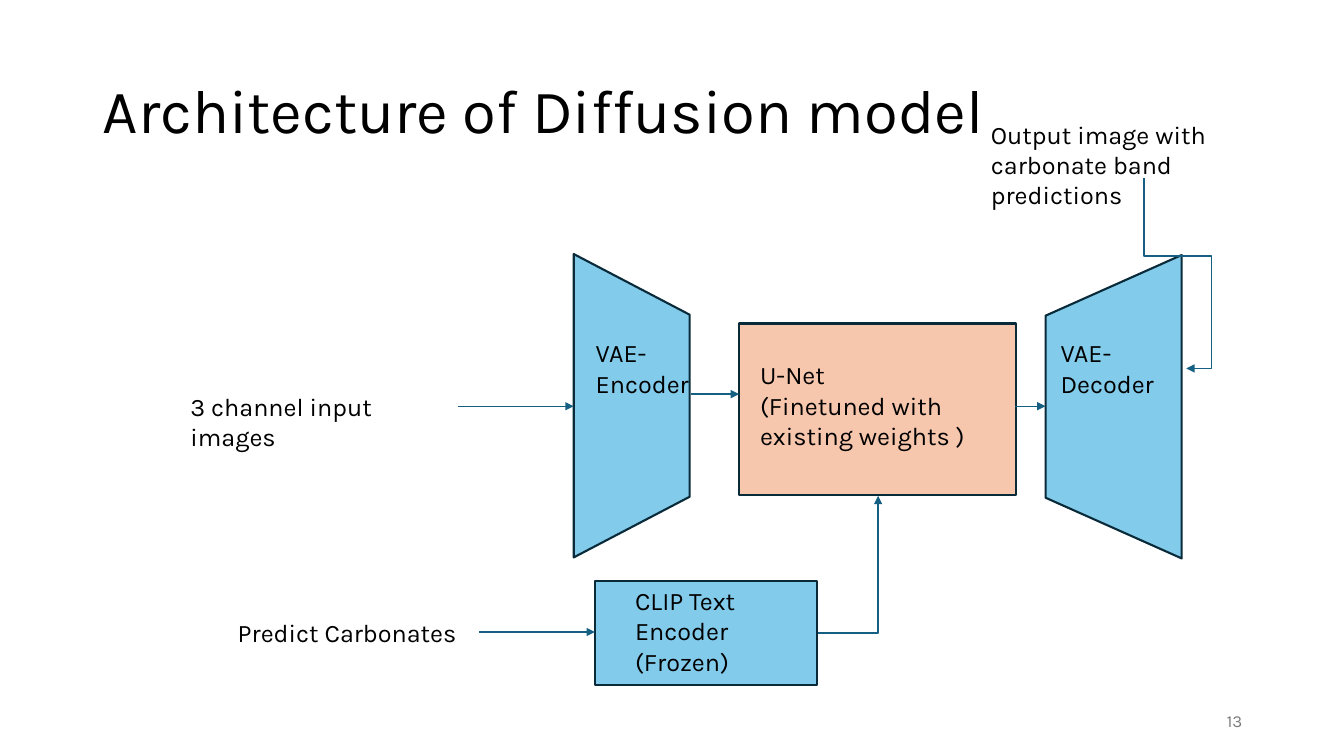
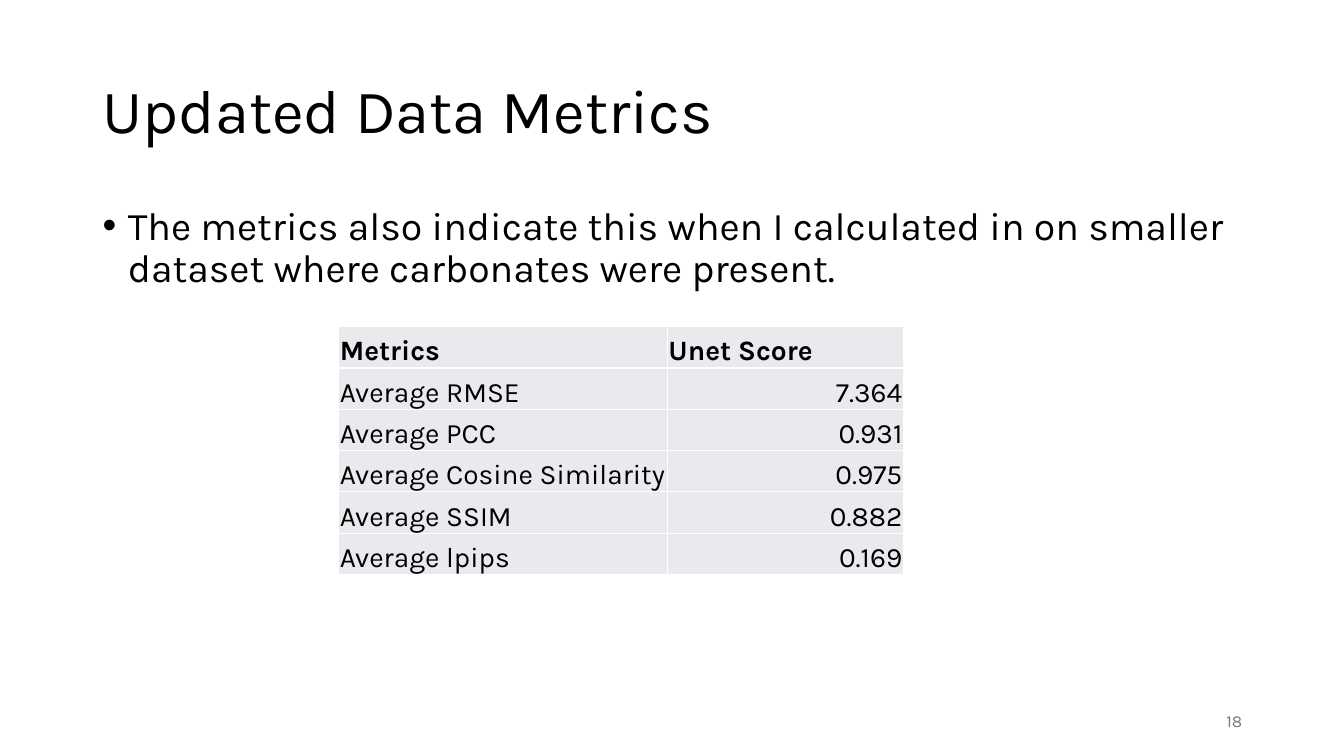
"""Build two slides on a diffusion model and its metrics."""
from lxml.etree import SubElement
from pptx import Presentation
from pptx.dml.color import RGBColor
from pptx.enum.shapes import MSO_CONNECTOR, MSO_SHAPE
from pptx.enum.text import MSO_ANCHOR, PP_ALIGN
from pptx.oxml import parse_xml
from pptx.oxml.ns import nsdecls, qn
from pptx.util import Inches, Pt

FONT = "Karla"
BLACK, GRAY, WHITE = "000000", "797979", "FFFFFF"
BLUE, PEACH, OUTLINE, ARROW = "83CBEB", "F6C6AD", "092A39", "156082"
CELL = "E8EAED"


def color(value):
    return RGBColor.from_string(value)


def write(frame, text, size=18, ink=BLACK, bold=False, align=PP_ALIGN.LEFT, spacing=None, bullet=None):
    para = frame.paragraphs[0]
    para.text = text
    para.alignment = align
    if bullet:
        props = para._p.get_or_add_pPr()
        props.set("marL", str(Inches(0.25)))
        props.set("indent", str(-Inches(0.25)))
        SubElement(props, qn("a:buFont")).set("typeface", "Arial")
        SubElement(props, qn("a:buChar")).set("char", bullet)
    if spacing:
        para.line_spacing = spacing
    for span in para.runs:
        span.font.name = FONT
        span.font.size = Pt(size)
        span.font.bold = bold
        span.font.color.rgb = color(ink)


class Deck:
    def __init__(self):
        self.deck = Presentation()
        self.deck.slide_width = Inches(13.33)
        self.deck.slide_height = Inches(7.5)
        self.page = None

    def add_page(self, title, number):
        self.page = self.deck.slides.add_slide(self.deck.slide_layouts[6])
        self.text(title, 0.92, 0.4, 11.5, 1.45, anchor=MSO_ANCHOR.MIDDLE, size=44, spacing=0.9)
        self.text(number, 9.42, 6.95, 3, 0.4, anchor=MSO_ANCHOR.MIDDLE,
                  size=12, ink=GRAY, align=PP_ALIGN.RIGHT)

    def text(self, text, left, top, width, height, anchor=MSO_ANCHOR.TOP, **style):
        box = self.page.shapes.add_textbox(*map(Inches, (left, top, width, height)))
        box.text_frame.word_wrap = True
        box.text_frame.vertical_anchor = anchor
        write(box.text_frame, text, **style)

    def block(self, kind, left, top, width, height, fill=BLUE, rotation=0):
        shape = self.page.shapes.add_shape(kind, *map(Inches, (left, top, width, height)))
        shape.shadow.inherit = False
        shape.rotation = rotation
        shape.fill.solid()
        shape.fill.fore_color.rgb = color(fill)
        shape.line.color.rgb = color(OUTLINE)
        shape.line.width = Pt(1.5)

    def arrow(self, start, end, bend=None, adjust=(), rotation=0):
        kind = MSO_CONNECTOR.ELBOW if bend else MSO_CONNECTOR.STRAIGHT
        line = self.page.shapes.add_connector(kind, *map(Inches, (*start, *end)))
        line.line.color.rgb = color(ARROW)
        line.line.width = Pt(1)
        props = line._element.spPr
        SubElement(props.find(qn("a:ln")), qn("a:tailEnd")).set("type", "triangle")
        SubElement(props, qn("a:effectLst"))
        if bend:
            props.find(qn("a:xfrm")).set("rot", str(rotation * 60000))
            geometry = props.find(qn("a:prstGeom"))
            geometry.set("prst", bend)
            guides = geometry.find(qn("a:avLst"))
            if guides is None:
                guides = SubElement(geometry, qn("a:avLst"))
            for index, share in enumerate(adjust, 1):
                guide = SubElement(guides, qn("a:gd"))
                guide.set("name", f"adj{index}")
                guide.set("fmla", f"val {round(share * 100000)}")

    def table(self, rows, left, top, widths, row_height):
        size = (sum(widths), row_height * len(rows))
        grid = self.page.shapes.add_table(
            len(rows), len(widths), *map(Inches, (left, top, *size))).table
        grid.first_row = grid.horz_banding = False
        for column, width in zip(grid.columns, widths):
            column.width = Inches(width)
        for r, values in enumerate(rows):
            grid.rows[r].height = Inches(row_height)
            for c, value in enumerate(values):
                align = PP_ALIGN.RIGHT if r and c else PP_ALIGN.LEFT
                self.cell(grid.cell(r, c), value, bold=r == 0, align=align)

    def cell(self, cell, value, **style):
        cell.margin_left = cell.margin_right = cell.margin_top = Inches(0.01)
        cell.margin_bottom = 0
        cell.vertical_anchor = MSO_ANCHOR.BOTTOM
        cell.fill.solid()
        cell.fill.fore_color.rgb = color(CELL)
        write(cell.text_frame, value, size=20, **style)
        props = cell._tc.get_or_add_tcPr()
        for index, side in enumerate("LRTB"):
            props.insert(index, parse_xml(
                f'<a:ln{side} {nsdecls("a")} w="{Pt(1)}"><a:solidFill>'
                f'<a:srgbClr val="{WHITE}"/></a:solidFill></a:ln{side}>'))


def add_architecture(deck):
    deck.add_page("Architecture of Diffusion model", "13")
    trapezoid = MSO_SHAPE.FLOWCHART_MANUAL_OPERATION
    deck.block(trapezoid, 4.76, 3.45, 3.01, 1.15, rotation=270)
    deck.block(trapezoid, 9.54, 3.36, 3.01, 1.35, rotation=90)
    deck.block(MSO_SHAPE.RECTANGLE, 7.33, 3.21, 2.75, 1.7, fill=PEACH)
    deck.block(MSO_SHAPE.RECTANGLE, 5.9, 5.76, 2.2, 1.04)
    for text, left, top, width, height in (
        ("VAE-Encoder", 5.81, 3.3, 1.35, 0.71),
        ("VAE-Decoder", 10.42, 3.3, 1.35, 0.71),
        ("CLIP Text Encoder (Frozen)", 6.2, 5.76, 1.35, 1.01),
        ("3 channel input images", 1.79, 3.83, 2.63, 0.4),
        ("Predict Carbonates", 2.26, 6.08, 2.63, 0.4),
        ("Output image with carbonate band predictions", 9.73, 1.13, 2.63, 1.01),
        ("U-Net\n(Finetuned with existing weights )", 7.44, 3.52, 2.63, 1.01),
    ):
        deck.text(text, left, top, width, height)
    for left, right, y in (
        (4.54, 5.69, 4.03), (4.75, 5.9, 6.27), (6.85, 7.33, 3.91), (10.07, 10.37, 4.03),
    ):
        deck.arrow((left, y), (right, y))
    deck.arrow((12.5, 2.5), (10.61, 2.92), "bentConnector4", (0.41, 1.59), 270)
    deck.arrow((8.11, 6.28), (8.71, 4.92), "bentConnector2")


def add_metrics(deck):
    deck.add_page("Updated Data Metrics", "18")
    deck.text("The metrics also indicate this when I calculated in on smaller dataset "
              "where carbonates were present.", 0.92, 2, 11.5, 4.76,
              size=28, spacing=0.9, bullet="•")
    deck.table((
        ("Metrics", "Unet Score"),
        ("Average RMSE", "7.364"),
        ("Average PCC", "0.931"),
        ("Average Cosine Similarity", "0.975"),
        ("Average SSIM", "0.882"),
        ("Average lpips", "0.169"),
    ), 3.36, 3.24, (3.26, 2.34), 0.41)


def main():
    deck = Deck()
    add_architecture(deck)
    add_metrics(deck)
    deck.deck.save("out.pptx")


if __name__ == "__main__":
    main()
